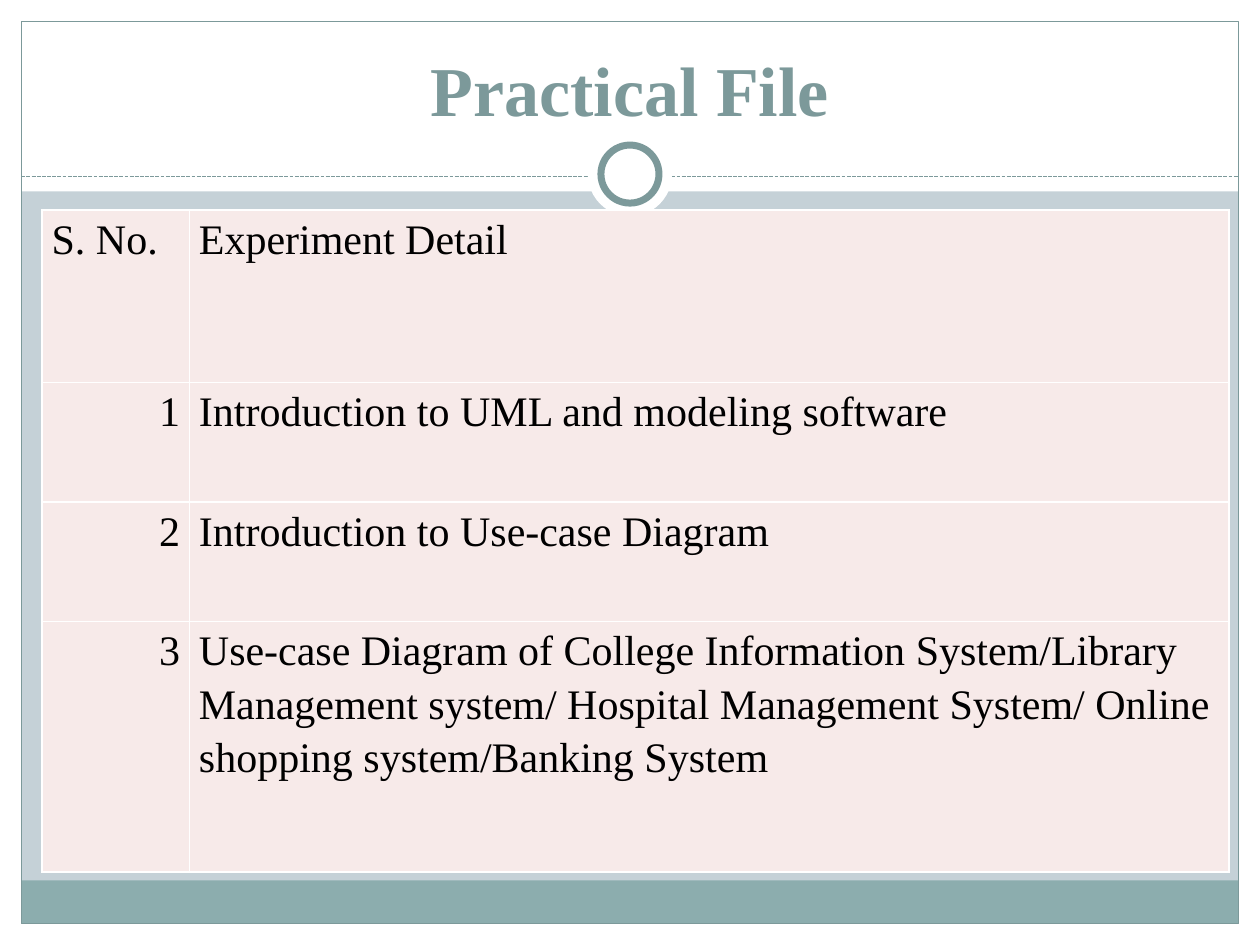
from lxml.etree import SubElement
from pptx import Presentation
from pptx.dml.color import RGBColor
from pptx.enum.dml import MSO_LINE
from pptx.enum.shapes import MSO_CONNECTOR, MSO_SHAPE
from pptx.enum.text import MSO_ANCHOR, PP_ALIGN
from pptx.oxml import parse_xml
from pptx.oxml.ns import nsdecls, qn
from pptx.util import Cm, Pt

WHITE = RGBColor(0xFF, 0xFF, 0xFF)
BLACK = RGBColor(0x00, 0x00, 0x00)
BACKGROUND = RGBColor(0xC5, 0xD1, 0xD7)
TEAL = RGBColor(0x7C, 0x99, 0x9A)
FOOTER_TEAL = RGBColor(0x8C, 0xAD, 0xAE)
CELL_PINK = RGBColor(0xF7, 0xEA, 0xE9)
FONT = "Times New Roman"

WIDTH, HEIGHT = 25.4, 19.05
MARGIN = 0.43
INNER_WIDTH = WIDTH - 2 * MARGIN
HEADER_HEIGHT = 3.86
RULE_Y = 3.56
RING_Y = 3.51

COLUMN_WIDTHS = [2.97, 20.96]
ROW_HEIGHTS = [3.48, 2.41, 2.41, 5.05]
EXPERIMENTS = [
    ("S. No.", "Experiment Detail"),
    ("1", "Introduction to UML and modeling software"),
    ("2", "Introduction to Use-case Diagram"),
    ("3", "Use-case Diagram of College Information System/Library Management "
          "system/ Hospital Management System/ Online shopping system/Banking System"),
]


def add_figure(slide, kind, left, top, width, height, fill=None, line=None, weight=0.75):
    figure = slide.shapes.add_shape(kind, Cm(left), Cm(top), Cm(width), Cm(height))
    figure.shadow.inherit = False
    if fill is None:
        figure.fill.background()
    else:
        figure.fill.solid()
        figure.fill.fore_color.rgb = fill
    if line is None:
        figure.line.fill.background()
    else:
        figure.line.color.rgb = line
        figure.line.width = Pt(weight)


def add_circle(slide, diameter, **style):
    """Add a circle on the slide's centre line, level with the ring."""
    add_figure(slide, MSO_SHAPE.OVAL, (WIDTH - diameter) / 2, RING_Y - diameter / 2,
               diameter, diameter, **style)


def add_dashed_rule(slide):
    rule = slide.shapes.add_connector(
        MSO_CONNECTOR.STRAIGHT, Cm(MARGIN), Cm(RULE_Y), Cm(WIDTH - MARGIN), Cm(RULE_Y))
    rule.line.color.rgb = TEAL
    rule.line.width = Pt(0.75)
    rule.line.dash_style = MSO_LINE.SQUARE_DOT
    SubElement(rule._element.spPr, qn("a:effectLst"))


def add_frame(slide):
    """Add the white margins, footer band, outline, rule and ring."""
    margins = [
        (0, HEIGHT - MARGIN, WIDTH, MARGIN),
        (0, 0, WIDTH, HEADER_HEIGHT),
        (0, 0, MARGIN, HEIGHT),
        (WIDTH - MARGIN, 0, MARGIN, HEIGHT),
    ]
    for margin in margins:
        add_figure(slide, MSO_SHAPE.RECTANGLE, *margin, fill=WHITE)
    add_figure(slide, MSO_SHAPE.RECTANGLE, MARGIN, 17.75, INNER_WIDTH, 0.87, fill=FOOTER_TEAL)
    add_figure(slide, MSO_SHAPE.RECTANGLE, MARGIN, MARGIN, INNER_WIDTH,
               HEIGHT - 2 * MARGIN, line=TEAL)
    add_dashed_rule(slide)
    add_circle(slide, 1.7, fill=WHITE)
    add_circle(slide, 1.17, fill=WHITE, line=TEAL, weight=4)


def format_font(font, size, color):
    font.name = FONT
    font.size = Pt(size)
    font.color.rgb = color


def set_title(slide, text):
    title = slide.shapes.title
    title.left, title.top, title.width, title.height = Cm(0.85), Cm(0.64), Cm(23.7), Cm(2.11)
    frame = title.text_frame
    frame.text = text
    frame.vertical_anchor = MSO_ANCHOR.BOTTOM
    para = frame.paragraphs[0]
    para.alignment = PP_ALIGN.CENTER
    span = para.runs[0]
    format_font(span.font, 40, TEAL)
    span.font.bold = True
    # The placeholder comes first in the tree; bring it in front of the header.
    slide.shapes._spTree.append(title._element)


def set_borders(cell, color, weight):
    properties = cell._tc.get_or_add_tcPr()
    for position, side in enumerate(("lnL", "lnR", "lnT", "lnB")):
        properties.insert(position, parse_xml(
            f'<a:{side} {nsdecls("a")} w="{Pt(weight)}"><a:solidFill>'
            f'<a:srgbClr val="{color}"/></a:solidFill></a:{side}>'))


def fill_cell(cell, text, alignment):
    cell.margin_left = cell.margin_right = Cm(0.19)
    cell.margin_top = cell.margin_bottom = 0
    cell.fill.solid()
    cell.fill.fore_color.rgb = CELL_PINK
    set_borders(cell, WHITE, 1)
    cell.text_frame.text = text
    para = cell.text_frame.paragraphs[0]
    para.alignment = alignment
    para.line_spacing = 1.15
    format_font(para.runs[0].font, 24, BLACK)


def add_experiment_table(slide):
    table = slide.shapes.add_table(
        len(ROW_HEIGHTS), len(COLUMN_WIDTHS), Cm(0.85), Cm(4.23),
        Cm(sum(COLUMN_WIDTHS)), Cm(sum(ROW_HEIGHTS))).table
    for column, width in zip(table.columns, COLUMN_WIDTHS):
        column.width = Cm(width)
    for row, height, texts in zip(table.rows, ROW_HEIGHTS, EXPERIMENTS):
        row.height = Cm(height)
        for cell, text in zip(row.cells, texts):
            fill_cell(cell, text, PP_ALIGN.RIGHT if text.isdigit() else PP_ALIGN.LEFT)


def main():
    deck = Presentation()
    deck.slide_width, deck.slide_height = Cm(WIDTH), Cm(HEIGHT)
    slide = deck.slides.add_slide(deck.slide_layouts[5])
    slide.background.fill.solid()
    slide.background.fill.fore_color.rgb = BACKGROUND
    add_frame(slide)
    set_title(slide, "Practical File")
    add_experiment_table(slide)
    deck.save("out.pptx")


if __name__ == "__main__":
    main()
